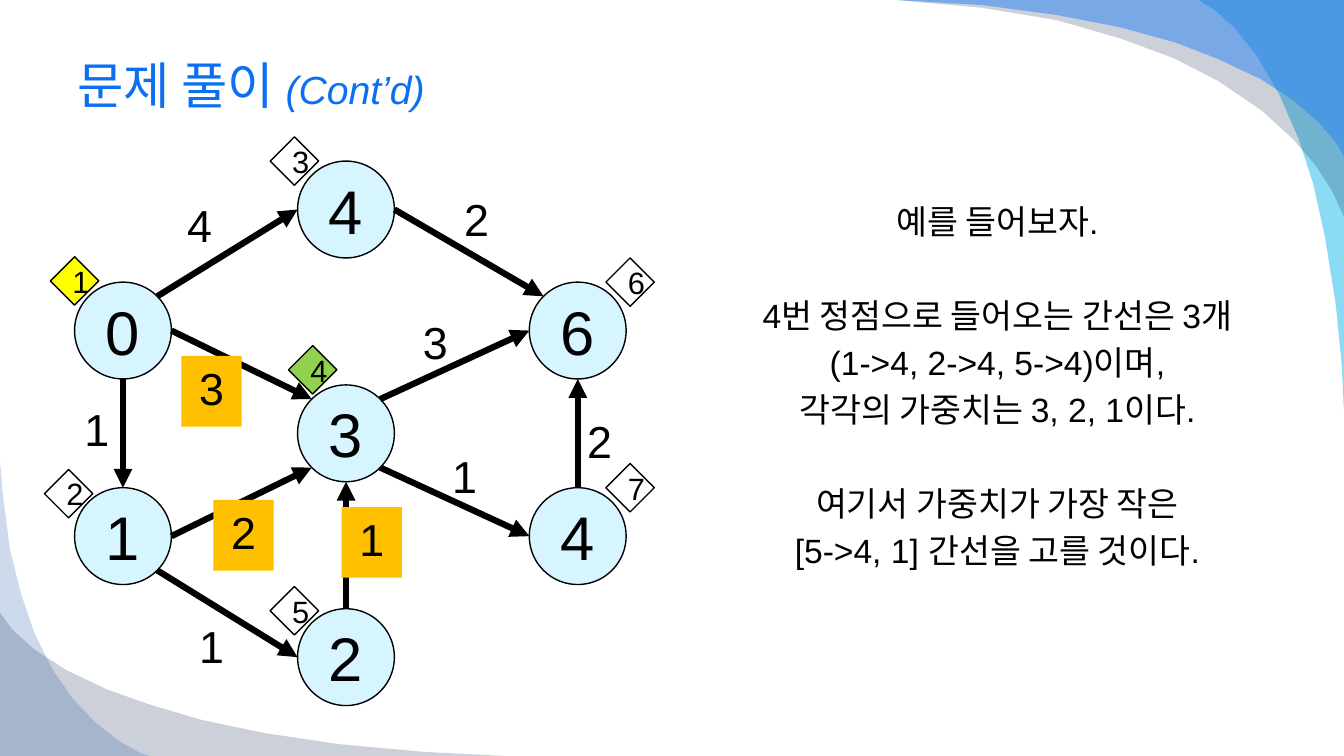
from typing import NamedTuple

from lxml import etree
from pptx import Presentation
from pptx import util as u
from pptx.dml.color import RGBColor
from pptx.enum import shapes, text
from pptx.oxml.ns import qn

W, H = 33.87, 19.05
NODE, BADGE = 2.44, 1.22
LABEL_W, LABEL_H = 1.52, 1.78
DIAG = 0.5 ** 0.5
SIDES = {
    "top": (0, -1), "bottom": (0, 1), "left": (-1, 0), "right": (1, 0),
    "tl": (-DIAG, -DIAG), "tr": (DIAG, -DIAG),
    "bl": (-DIAG, DIAG), "br": (DIAG, DIAG),
}


class Swoosh(NamedTuple):
    color: str
    alpha: int
    corner: tuple
    curve: list


class Node(NamedTuple):
    value: str
    x: float
    y: float
    badge_dx: float
    badge_dy: float
    badge_fill: str = "FFFFFF"


class Edge(NamedTuple):
    start: int
    start_side: str
    end: int
    end_side: str
    weight: str
    x: float
    y: float
    fill: str = ""


SWOOSHES = [
    Swoosh("00B1E9", 45, (W, 0), [
        (30.2, 0), (30.61, .25), (31.12, .71), (31.67, 1.4), (32.23, 2.36), (32.72, 3.48),
        (33.1, 4.65), (33.4, 6.02), (33.66, 7.65), (33.81, 9.14), (W, 10.36)]),
    Swoosh("021741", 20, (W, 0), [
        (22.58, 0), (24.77, .2), (26.64, .51), (28.24, .97), (29.59, 1.47), (30.73, 2.06),
        (31.8, 2.79), (32.59, 3.51), (33.17, 4.19), (33.58, 4.83), (W, 5.46)]),
    Swoosh("247FF4", 49, (W, 0), [
        (22.58, 0), (24.77, .13), (26.64, .38), (28.24, .69), (29.62, 1.07), (30.73, 1.5),
        (31.8, 2.01), (32.61, 2.54), (33.25, 3.1), (33.68, 3.61), (W, 3.94)]),
    Swoosh("021741", 20, (0, H), [
        (12.7, H), (10.72, 18.95), (8.53, 18.75), (6.65, 18.47), (5.08, 18.14), (3.76, 17.75),
        (2.69, 17.37), (1.68, 16.89), (.86, 16.36), (.3, 15.85), (0, 15.44)]),
    Swoosh("084AA1", 20, (0, H), [
        (0, 11.63), (.08, 12.52), (.25, 13.84), (.53, 14.96), (.86, 15.93), (1.32, 16.87),
        (1.83, 17.6), (2.41, 18.21), (3.02, 18.69), (3.53, 18.97), (3.76, H)]),
]

NODES = {
    1: Node("0", 1.88, 7.11, -.61, -.64, "FFFF00"),
    2: Node("1", 1.88, 12.29, -.76, -.46),
    3: Node("4", 7.5, 4.06, -.69, -.61),
    4: Node("3", 7.5, 9.7, -.23, -.99, "92D050"),
    5: Node("2", 7.5, 15.34, -.69, -.56),
    6: Node("6", 13.34, 7.11, 1.93, -.61),
    7: Node("4", 13.34, 12.29, 1.93, -.61),
}

EDGES = [
    Edge(1, "tr", 3, "left", "4", 4.27, 4.85),
    Edge(3, "right", 6, "tl", "2", 11.25, 4.7),
    Edge(1, "right", 4, "tl", "3", 4.57, 8.97, "FFC000"),
    Edge(4, "tr", 6, "left", "3", 10.21, 7.8),
    Edge(1, "bottom", 2, "top", "1", 1.68, 10.01),
    Edge(7, "top", 6, "bottom", "2", 14.35, 10.31),
    Edge(2, "right", 4, "bl", "2", 5.38, 12.6, "FFC000"),
    Edge(4, "br", 7, "left", "1", 10.95, 11.18),
    Edge(5, "top", 4, "bottom", "1", 8.61, 12.78, "FFC000"),
    Edge(2, "br", 5, "left", "1", 4.57, 15.47),
]

EXPLANATION = [
    ["예를 들어보자."],
    ["4번 정점으로 들어오는 간선은 3개", "(1->4, 2->4, 5->4)이며,", "각각의 가중치는 3, 2, 1이다."],
    ["여기서 가중치가 가장 작은", "[5->4, 1] 간선을 고를 것이다."],
]


def rgb(value: str) -> RGBColor:
    return RGBColor.from_string(value)


def cm(*values: float) -> list:
    return [u.Cm(v) for v in values]


def write(p, content: str, size: float, color: str = "000000", italic: bool = False,
          align=text.PP_ALIGN.CENTER, before: float = 0) -> None:
    p.alignment = align
    p.space_before = u.Pt(before)
    r = p.add_run()
    r.text = content
    r.font.name = "Arial"
    r.font.size = u.Pt(size)
    r.font.italic = italic
    r.font.color.rgb = rgb(color)


def place(sp, x: float, y: float, w: float, h: float) -> None:
    sp.left, sp.top, sp.width, sp.height = cm(x, y, w, h)
    sp.text_frame.auto_size = text.MSO_AUTO_SIZE.NONE


def draw_swoosh(s, swoosh: Swoosh) -> None:
    points = [(x * 100, y * 100) for x, y in [*swoosh.curve, swoosh.corner]]
    fb = s.shapes.build_freeform(*points[0], scale=u.Cm(0.01))
    fb.add_line_segments(points[1:], close=True)
    sp = fb.convert_to_shape()
    sp.shadow.inherit = False
    sp.line.fill.background()
    sp.fill.solid()
    sp.fill.fore_color.rgb = rgb(swoosh.color)
    clr = sp.fill._xPr.find(qn("a:solidFill"))[0]
    etree.SubElement(clr, qn("a:alpha"), val=str(swoosh.alpha * 1000))


def draw_shape(s, kind, x: float, y: float, side: float, fill: str,
               content: str, size: float) -> None:
    sp = s.shapes.add_shape(kind, *cm(x, y, side, side))
    sp.shadow.inherit = False
    sp.fill.solid()
    sp.fill.fore_color.rgb = rgb(fill)
    sp.line.color.rgb = rgb("000000")
    sp.line.width = u.Pt(1)
    write(sp.text_frame.paragraphs[0], content, size)


def anchor_point(node: Node, side: str) -> list:
    dx, dy = SIDES[side]
    return cm(node.x + NODE / 2 * (1 + dx), node.y + NODE / 2 * (1 + dy))


def draw_arrow(s, edge: Edge) -> None:
    cx = s.shapes.add_connector(
        shapes.MSO_CONNECTOR.STRAIGHT,
        *anchor_point(NODES[edge.start], edge.start_side),
        *anchor_point(NODES[edge.end], edge.end_side))
    cx.line.color.rgb = rgb("000000")
    cx.line.width = u.Pt(4.5)
    etree.SubElement(cx.line._get_or_add_ln(), qn("a:tailEnd"), type="triangle")
    etree.SubElement(cx._element.spPr, qn("a:effectLst"))


def draw_weight(s, edge: Edge) -> None:
    sp = s.shapes.add_textbox(*cm(edge.x, edge.y, LABEL_W, LABEL_H))
    sp.text_frame.word_wrap = True
    if edge.fill:
        sp.fill.solid()
        sp.fill.fore_color.rgb = rgb(edge.fill)
    write(sp.text_frame.paragraphs[0], edge.weight, 32, before=4)


def fill_title(sp) -> None:
    place(sp, 1.7, .84, 30.48, 2.57)
    sp.text_frame.vertical_anchor = text.MSO_ANCHOR.MIDDLE
    p = sp.text_frame.paragraphs[0]
    left = text.PP_ALIGN.LEFT
    write(p, "문제 풀이 ", 36, "0C6FF2", align=left)
    write(p, "(Cont’d)", 28, "0C6FF2", italic=True, align=left)


def fill_body(sp) -> None:
    place(sp, 18.11, 4.94, 14.05, 12.08)
    tf = sp.text_frame
    for i, group in enumerate(EXPLANATION):
        for j, line in enumerate(group):
            p = tf.add_paragraph() if i or j else tf.paragraphs[0]
            write(p, line, 24, before=38.4 if i and not j else 4.8)
            pPr = p._p.get_or_add_pPr()
            pPr.set("marL", "0")
            pPr.set("indent", "0")
            etree.SubElement(pPr, qn("a:buNone"))


prs = Presentation()
prs.slide_width, prs.slide_height = cm(W, H)
s = prs.slides.add_slide(prs.slide_layouts[1])
for swoosh in SWOOSHES:
    draw_swoosh(s, swoosh)
fill_title(s.shapes.title)
fill_body(s.placeholders[1])
for node in NODES.values():
    draw_shape(s, shapes.MSO_SHAPE.OVAL, node.x, node.y, NODE, "D7F5FF", node.value, 44)
for edge in EDGES:
    draw_arrow(s, edge)
for edge in EDGES:
    draw_weight(s, edge)
for order, node in NODES.items():
    draw_shape(s, shapes.MSO_SHAPE.DIAMOND, node.x + node.badge_dx, node.y + node.badge_dy,
               BADGE, node.badge_fill, str(order), 22)
prs.save("out.pptx")
